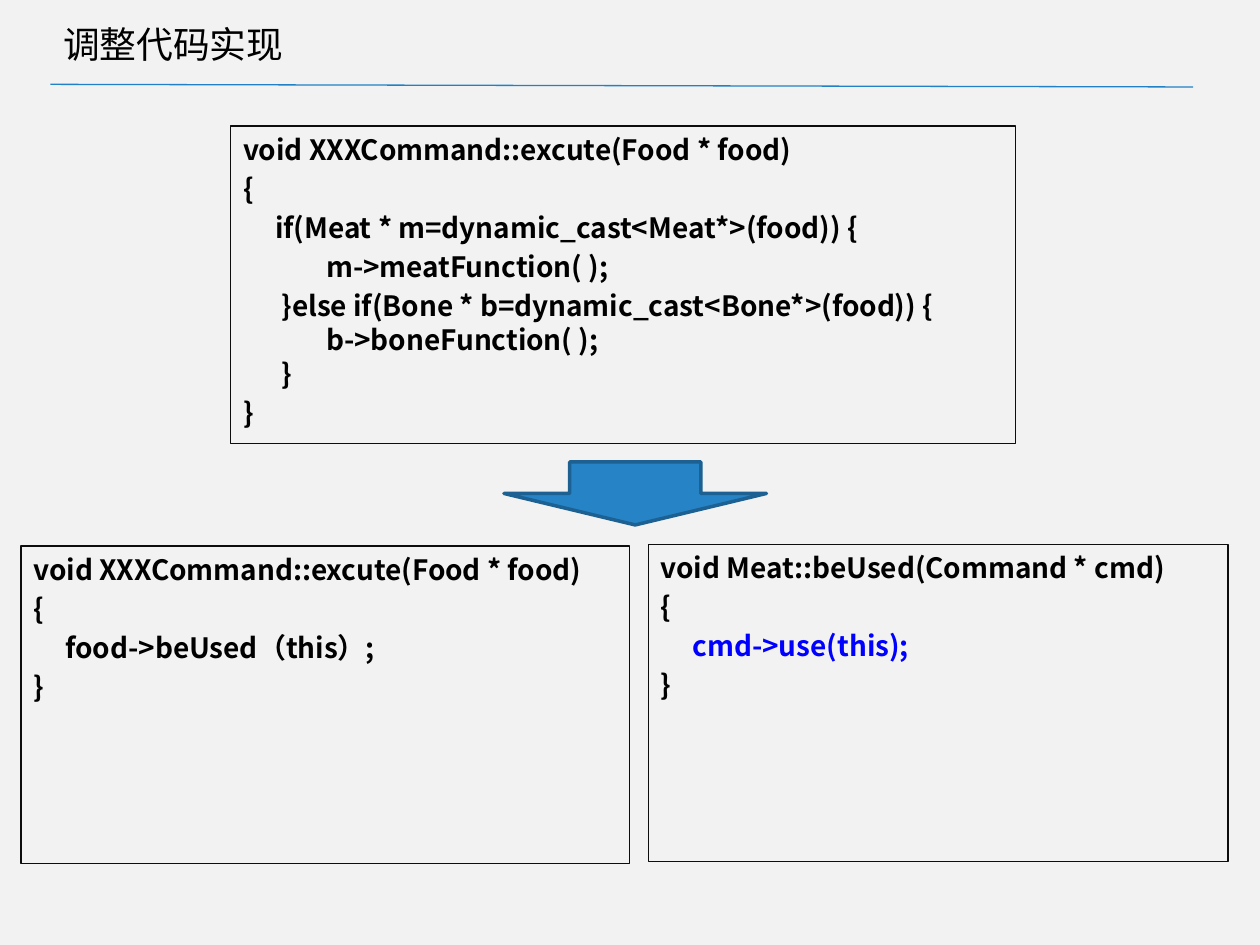
from lxml import etree
from pptx import Presentation
from pptx.dml.color import RGBColor
from pptx.enum.shapes import MSO_CONNECTOR, MSO_SHAPE
from pptx.enum.text import MSO_ANCHOR, MSO_AUTO_SIZE, PP_ALIGN
from pptx.oxml.ns import qn
from pptx.util import Pt

STRAIGHT = MSO_CONNECTOR.STRAIGHT
RECTANGLE, DOWN_ARROW = MSO_SHAPE.RECTANGLE, MSO_SHAPE.DOWN_ARROW
TOP, MIDDLE = MSO_ANCHOR.TOP, MSO_ANCHOR.MIDDLE
LEFT = PP_ALIGN.LEFT
NO_AUTOFIT = MSO_AUTO_SIZE.NONE

COLORS = {
    "background": "F2F2F2", "rule": "2181C6", "border": "0D0D0D",
    "text": "000000", "highlight": "0000FF",
    "arrow": "2683C6", "arrow_line": "1C6192",
}
CODE_FONT = "Noto Sans CJK SC"
LINE_GAP = 3.2  # 20% of the code size


def color(name):
    return RGBColor.from_string(COLORS[name])


def write(paragraph, text, font="Calibri", size=16, bold=False,
          text_color="text", indent=0, before=0):
    paragraph.alignment = LEFT
    paragraph.space_before = Pt(before)
    if indent:
        properties = paragraph._p.get_or_add_pPr()
        properties.set("marL", str(Pt(indent)))
        properties.set("indent", "0")
    run = paragraph.add_run()
    run.text = text
    run.font.name = font
    run.font.size = Pt(size)
    run.font.bold = bold
    run.font.color.rgb = color(text_color)


presentation = Presentation()
presentation.slide_width, presentation.slide_height = Pt(720), Pt(540)
slide = presentation.slides.add_slide(presentation.slide_layouts[5])
slide.background.fill.solid()
slide.background.fill.fore_color.rgb = color("background")

# Title and the rule below it
title = slide.shapes.title
title.left, title.top, title.width, title.height = Pt(28.8), Pt(5.8), Pt(620.6), Pt(38.2)
title.text_frame.auto_size = NO_AUTOFIT
title.text_frame.vertical_anchor = MIDDLE
write(title.text_frame.paragraphs[0], "调整代码实现", size=21)

rule = slide.shapes.add_connector(STRAIGHT, Pt(28.8), Pt(48.2), Pt(681.8), Pt(49.7))
rule.line.color.rgb = color("rule")
rule.line.width = Pt(0.75)
etree.SubElement(rule._element.spPr, qn("a:effectLst"))

# Code boxes: position, then lines of (text, indent, space before, colour)
code_boxes = [
    ((131.8, 72, 448.6, 181.4), [
        ("void XXXCommand::excute(Food * food)", 0, 0, "text"),
        ("{", 0, LINE_GAP, "text"),
        ("if(Meat * m=dynamic_cast<Meat*>(food)) {", 18.3, LINE_GAP, "text"),
        ("m->meatFunction( );", 47.5, LINE_GAP, "text"),
        ("}else if(Bone * b=dynamic_cast<Bone*>(food)) {", 22, LINE_GAP, "text"),
        ("b->boneFunction( );", 47.5, 0, "text"),
        ("}", 22, 0, "text"),
        ("}", 0, LINE_GAP, "text"),
    ]),
    ((12, 312, 347.8, 181.4), [
        ("void XXXCommand::excute(Food * food)", 0, 0, "text"),
        ("{", 0, LINE_GAP, "text"),
        ("food->beUsed（this）;", 18.3, LINE_GAP, "text"),
        ("}", 0, LINE_GAP, "text"),
    ]),
    ((370.4, 311, 331.4, 181.4), [
        ("void Meat::beUsed(Command * cmd)", 0, 0, "text"),
        ("{", 0, LINE_GAP, "text"),
        ("cmd->use(this);", 18.3, LINE_GAP, "highlight"),
        ("}", 0, LINE_GAP, "text"),
    ]),
]
for bounds, lines in code_boxes:
    box = slide.shapes.add_shape(RECTANGLE, *map(Pt, bounds))
    box.shadow.inherit = False
    box.fill.background()
    box.line.color.rgb = color("border")
    box.line.width = Pt(0.75)
    frame = box.text_frame
    frame.word_wrap = True
    frame.vertical_anchor = TOP
    for number, (text, indent, before, text_color) in enumerate(lines):
        paragraph = frame.add_paragraph() if number else frame.paragraphs[0]
        write(paragraph, text, font=CODE_FONT, bold=True,
              text_color=text_color, indent=indent, before=before)

# Arrow from the old code to the new
arrow = slide.shapes.add_shape(DOWN_ARROW, Pt(288), Pt(264), Pt(150), Pt(36))
arrow.shadow.inherit = False
arrow.fill.solid()
arrow.fill.fore_color.rgb = color("arrow")
arrow.line.color.rgb = color("arrow_line")
arrow.line.width = Pt(2)

presentation.save("out.pptx")
